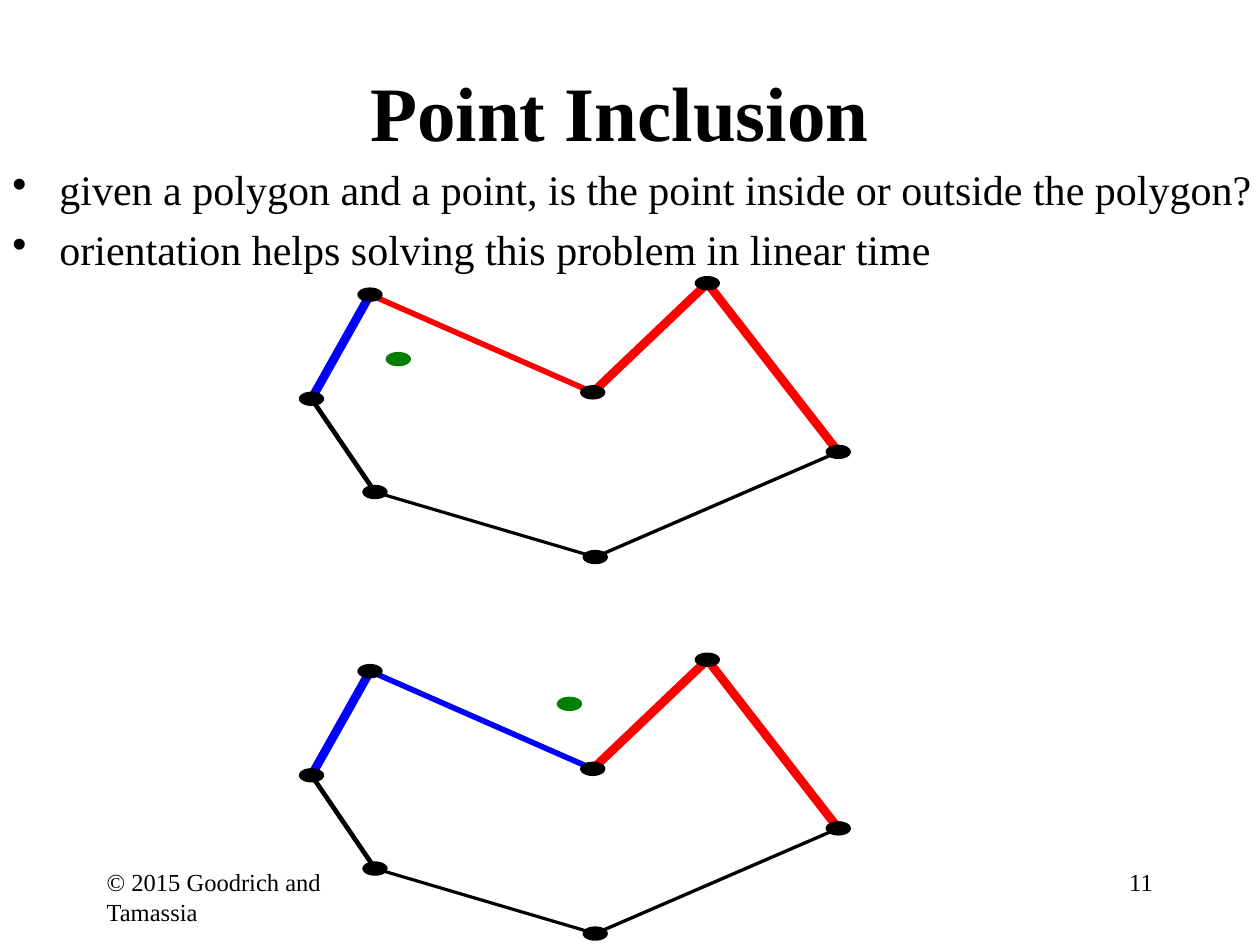
from lxml import etree
from pptx import Presentation
from pptx.dml.color import RGBColor
from pptx.enum.shapes import MSO_CONNECTOR, MSO_SHAPE
from pptx.enum.text import MSO_ANCHOR, PP_ALIGN
from pptx.oxml.ns import qn
from pptx.util import Cm, Pt

LEFT, CENTER, RIGHT = PP_ALIGN.LEFT, PP_ALIGN.CENTER, PP_ALIGN.RIGHT
TOP, MIDDLE = MSO_ANCHOR.TOP, MSO_ANCHOR.MIDDLE
STRAIGHT, OVAL = MSO_CONNECTOR.STRAIGHT, MSO_SHAPE.OVAL

THEME = {
    "font": "Times New Roman",
    "title": 44, "body": 24, "footer": 14,
    "black": "000000", "red": "FF0000", "blue": "0000FF", "green": "007F00",
}

TITLE = "Point Inclusion"
BULLETS = [
    "given a polygon and a point, is the point inside or outside the polygon?",
    "orientation helps solving this problem in linear time",
]
FOOTER = "© 2015 Goodrich and Tamassia"
PAGE = "11"

VERTICES = {
    "A": (7.46, 5.94), "B": (11.95, 7.91), "C": (14.26, 5.71), "D": (16.9, 9.11),
    "E": (12, 11.23), "F": (7.56, 9.92), "G": (6.28, 8.04),
}
EDGES = [
    ("D", "E", "black", 1.9), ("E", "F", "black", 1.8), ("F", "G", "black", 2.7),
    ("G", "A", "blue", 5), ("A", "B", None, 3.2), ("B", "C", "red", 5), ("C", "D", "red", 5),
]
FIGURES = [
    {"dy": 0, "query": (8.03, 7.24), "turn": "red"},
    {"dy": 7.59, "query": (11.48, 6.6), "turn": "blue"},
]
DOT_W, DOT_H = 0.51, 0.29
INDENT = 0.95


def color(name):
    return RGBColor.from_string(THEME[name])


def add_text(slide, box, lines, size, align=LEFT, anchor=TOP, bold=False):
    tf = slide.shapes.add_textbox(*map(Cm, box)).text_frame
    tf.word_wrap = True
    tf.vertical_anchor = anchor
    tf.text = "\n".join(lines)
    for p in tf.paragraphs:
        p.alignment = align
        f = p.runs[0].font
        f.name, f.size, f.bold = THEME["font"], Pt(THEME[size]), bold
        f.color.rgb = color("black")
    return tf


def add_bullets(tf):
    for p in tf.paragraphs:
        p.space_before = Pt(5.5)
        pPr = p._p.get_or_add_pPr()
        pPr.set("marL", str(Cm(INDENT)))
        pPr.set("indent", str(-Cm(INDENT)))
        etree.SubElement(pPr, qn("a:buChar")).set("char", "•")


def add_edge(slide, start, end, name, width):
    s = slide.shapes.add_connector(STRAIGHT, *map(Cm, start + end))
    s.line.color.rgb = color(name)
    s.line.width = Pt(width)
    etree.SubElement(s._element.spPr, qn("a:effectLst"))


def add_dot(slide, center, name):
    x, y = center
    s = slide.shapes.add_shape(OVAL, Cm(x - DOT_W / 2), Cm(y - DOT_H / 2), Cm(DOT_W), Cm(DOT_H))
    s.shadow.inherit = False
    s.fill.solid()
    s.fill.fore_color.rgb = color(name)
    s.line.fill.background()


def add_figure(slide, dy, query, turn):
    points = {k: (x, y + dy) for k, (x, y) in VERTICES.items()}
    for a, b, name, width in EDGES:
        add_edge(slide, points[a], points[b], name or turn, width)
    for point in points.values():
        add_dot(slide, point, "black")
    add_dot(slide, (query[0], query[1] + dy), "green")


def main():
    prs = Presentation()
    prs.slide_width, prs.slide_height = Cm(25.4), Cm(19.05)
    slide = prs.slides.add_slide(prs.slide_layouts[6])
    add_text(slide, (1.9, 17.36, 5.29, 1.27), [FOOTER], "footer")
    add_text(slide, (18.2, 17.36, 5.29, 1.27), [PAGE], "footer", RIGHT)
    add_text(slide, (1.7, 0.64, 21.59, 3.18), [TITLE], "title", CENTER, MIDDLE, True)
    add_bullets(add_text(slide, (0, 3.18, 29.42, 4.45), BULLETS, "body"))
    for figure in FIGURES:
        add_figure(slide, **figure)
    prs.save("out.pptx")


if __name__ == "__main__":
    main()
